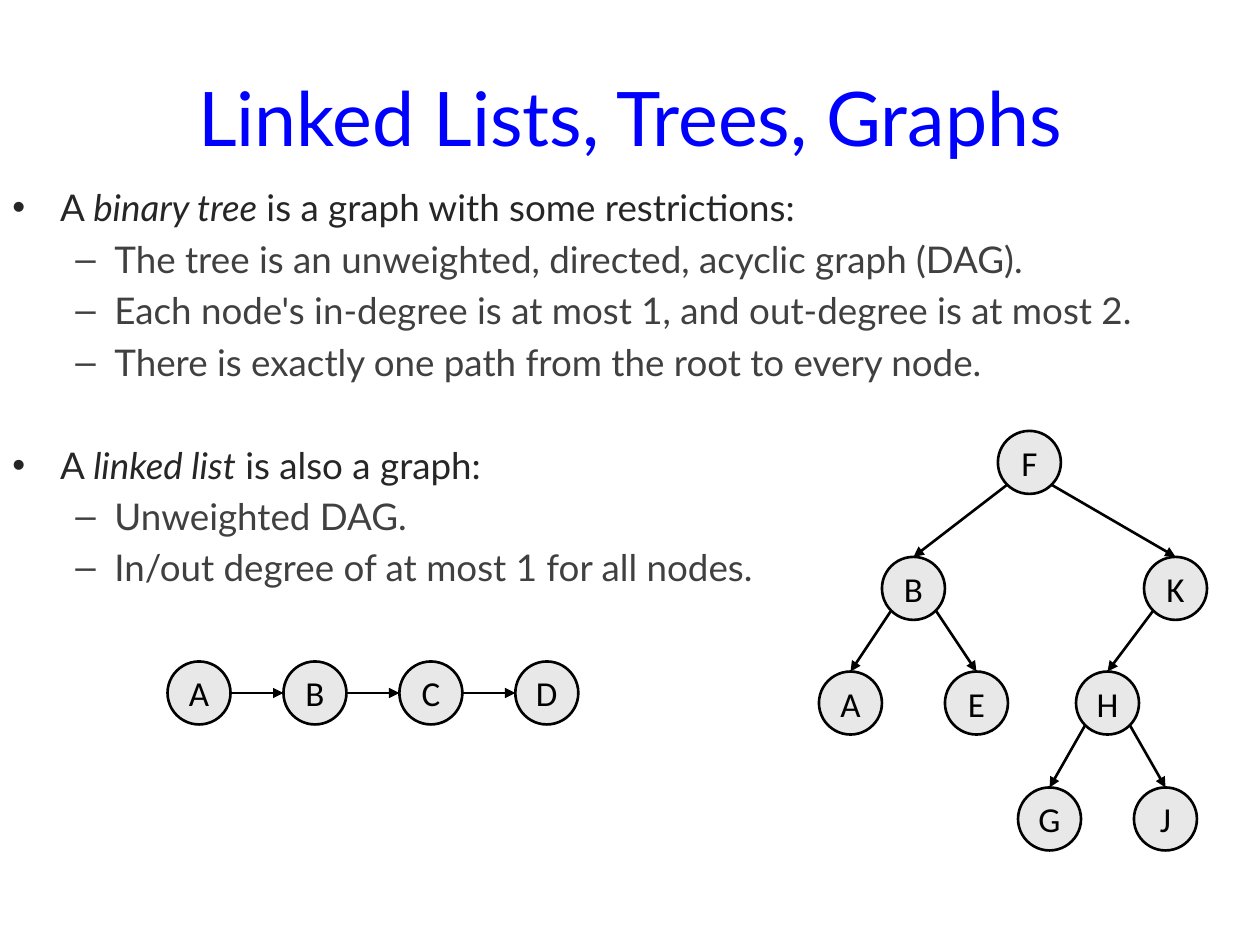
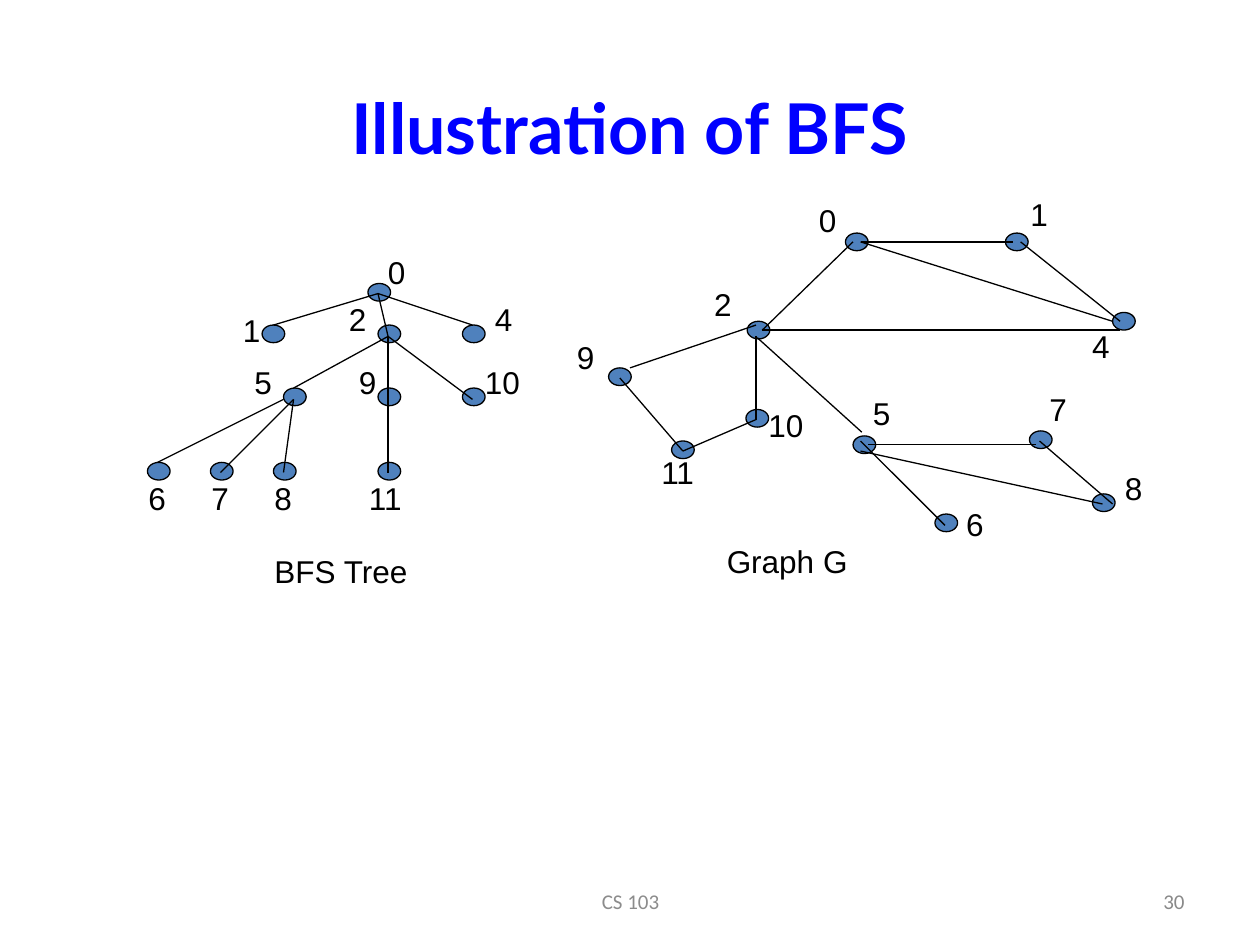
from lxml import etree
from pptx import Presentation
from pptx.dml.color import RGBColor
from pptx.enum import shapes, text
from pptx.oxml.ns import qn
from pptx.util import Inches, Pt

COLORS = {
    "title": "0000FF", "ink": "000000", "topic": "262626", "detail": "404040",
    "node": "E8E8E8", "vertex": "4F81BD", "footer": "8C8C8C", "number": "898989",
}
CENTER, LEFT, RIGHT = text.PP_ALIGN.CENTER, text.PP_ALIGN.LEFT, text.PP_ALIGN.RIGHT
NODE_SIZE = 0.5
VERTEX_WIDTH, VERTEX_HEIGHT = 0.18, 0.14


def rgb(name):
    return RGBColor.from_string(COLORS[name])


def add_run(paragraph, words, size, font, color, bold=None, italic=None):
    run = paragraph.add_run()
    run.text = words
    run.font.size, run.font.name = Pt(size), font
    run.font.bold, run.font.italic = bold, italic
    run.font.color.rgb = rgb(color)


def add_title_slide(prs, title, box, size, bold):
    slide = prs.slides.add_slide(prs.slide_layouts[5])
    heading = slide.shapes.title
    heading.left, heading.top, heading.width, heading.height = map(Inches, box)
    frame = heading.text_frame
    frame.auto_size = text.MSO_AUTO_SIZE.NONE
    frame.vertical_anchor = text.MSO_ANCHOR.MIDDLE
    frame.paragraphs[0].alignment = CENTER
    add_run(frame.paragraphs[0], title, size, "Lato", "title", bold)
    return slide


def add_oval(slide, box, fill, line_width):
    oval = slide.shapes.add_shape(shapes.MSO_SHAPE.OVAL, *map(Inches, box))
    oval.shadow.inherit = False
    oval.fill.solid()
    oval.fill.fore_color.rgb = rgb(fill)
    oval.line.color.rgb = rgb("ink")
    oval.line.width = Pt(line_width)
    return oval


def add_edge(slide, start, end, width, arrow=False):
    edge = slide.shapes.add_connector(
        shapes.MSO_CONNECTOR.STRAIGHT, *map(Inches, (*start, *end)))
    edge.line.color.rgb = rgb("ink")
    edge.line.width = Pt(width)
    if arrow:
        etree.SubElement(edge.line._get_or_add_ln(), qn("a:tailEnd"), type="triangle")
    etree.SubElement(edge._element.spPr, qn("a:effectLst"))
    return edge


def add_label(slide, words, box, size=18, font="Arial", color="ink",
              align=LEFT, anchor=text.MSO_ANCHOR.TOP):
    frame = slide.shapes.add_textbox(*map(Inches, box)).text_frame
    frame.word_wrap = False
    frame.vertical_anchor = anchor
    frame.paragraphs[0].alignment = align
    add_run(frame.paragraphs[0], words, size, font, color)


def add_footer(slide, words, number):
    middle = text.MSO_ANCHOR.MIDDLE
    add_label(slide, words, (3.42, 6.95, 3.17, 0.4), 12, "Calibri", "footer", CENTER, middle)
    add_label(slide, number, (7.17, 6.95, 2.33, 0.4), 12, "Calibri", "number", RIGHT, middle)


def add_bullets(slide, box, topics):
    """Write each topic, whose second part is italic, above its dashed details."""
    frame = slide.shapes.add_textbox(*map(Inches, box)).text_frame
    frame.word_wrap = True

    def add_item(parts, bullet, margin, indent, color, space):
        started = bool(frame.paragraphs[0].runs)
        paragraph = frame.add_paragraph() if started else frame.paragraphs[0]
        props = paragraph._p.get_or_add_pPr()
        props.set("marL", str(Inches(margin)))
        props.set("indent", str(Inches(-indent)))
        if started:
            paragraph.space_before = Pt(space)
        etree.SubElement(props, qn("a:buFont"), typeface="Arial")
        etree.SubElement(props, qn("a:buChar"), char=bullet)
        for position, words in enumerate(parts):
            add_run(paragraph, words, 21, "Lato", color, italic=position == 1)

    for topic, details in topics:
        add_item(topic, "•", 0.38, 0.38, "topic", 33.6)
        for detail in details:
            add_item([detail], "–", 0.81, 0.31, "detail", 4.2)


def add_node(slide, letter, center):
    x, y = center
    node = add_oval(slide, (x - NODE_SIZE / 2, y - NODE_SIZE / 2, NODE_SIZE, NODE_SIZE),
                    "node", 1.5)
    frame = node.text_frame
    frame.word_wrap = False
    frame.vertical_anchor = text.MSO_ANCHOR.MIDDLE
    frame.paragraphs[0].alignment = CENTER
    add_run(frame.paragraphs[0], letter, 20, "Calibri", "ink")
    return node


def add_binary_tree(slide, left, top):
    offsets = {
        "F": (1.67, 0.25), "B": (0.75, 1.25), "K": (2.83, 1.25), "A": (0.25, 2.16),
        "E": (1.25, 2.16), "H": (2.29, 2.16), "G": (1.83, 3.08), "J": (2.75, 3.08),
    }
    centers = {letter: (left + x, top + y) for letter, (x, y) in offsets.items()}
    nodes = {letter: add_node(slide, letter, center) for letter, center in centers.items()}
    diagonal = 0.18  # 45-degree point on a node's rim
    for parent, child in ("FB", "FK", "BA", "BE", "KH", "HG", "HJ"):
        (x, y), (child_x, child_y) = centers[parent], centers[child]
        side = diagonal if child_x > x else -diagonal
        edge = add_edge(slide, (x + side, y + diagonal),
                        (child_x, child_y - NODE_SIZE / 2), 1.5, arrow=True)
        edge.end_connect(nodes[child], 0)


def add_linked_list(slide, left, top, letters, pitch=0.92):
    y = top + NODE_SIZE / 2
    for position, letter in enumerate(letters):
        x = left + NODE_SIZE / 2 + position * pitch
        add_node(slide, letter, (x, y))
        if position:
            add_edge(slide, (x - pitch + NODE_SIZE / 2, y), (x - NODE_SIZE / 2, y),
                     1.5, arrow=True)


def add_vertex_graph(slide, left, top, vertices, edges, caption):
    """Vertices map a label to its dot and label corners; edges are x1, y1, x2, y2."""
    for (x, y), _ in vertices.values():
        add_oval(slide, (left + x, top + y, VERTEX_WIDTH, VERTEX_HEIGHT), "vertex", 0.75)
    for x1, y1, x2, y2 in edges:
        add_edge(slide, (left + x1, top + y1), (left + x2, top + y2), 0.75)
    for label, (_, (x, y)) in vertices.items():
        width = 0.37 if len(label) == 1 else 0.53
        add_label(slide, label, (left + x, top + y, width, 0.5))
    words, x, y, width = caption
    add_label(slide, words, (left + x, top + y, width, 0.5))


def add_bfs_tree(slide, left, top):
    vertices = {
        "0": ((1.92, 1.25), (1.98, 0.96)), "1": ((1.08, 1.58), (0.83, 1.42)),
        "2": ((2, 1.58), (1.67, 1.33)), "4": ((2.67, 1.58), (2.83, 1.33)),
        "5": ((1.25, 2.08), (0.92, 1.83)), "9": ((2, 2.08), (1.75, 1.83)),
        "10": ((2.67, 2.08), (2.75, 1.83)), "6": ((0.17, 2.67), (0.08, 2.75)),
        "7": ((0.67, 2.67), (0.58, 2.75)), "8": ((1.17, 2.67), (1.08, 2.75)),
        "11": ((2, 2.67), (1.83, 2.75)),
    }
    edges = [
        (2, 1.33, 1.17, 1.58), (2, 1.33, 2.08, 1.67), (2, 1.33, 2.75, 1.58),
        (2.08, 1.67, 1.33, 2.08), (2.08, 1.67, 2.08, 2.17), (2.08, 1.67, 2.75, 2.17),
        (1.25, 2.17, 0.25, 2.67), (1.33, 2.17, 0.75, 2.75), (1.33, 2.17, 1.25, 2.75),
        (2.08, 2.17, 2.08, 2.75),
    ]
    add_vertex_graph(slide, left, top, vertices, edges, ("BFS Tree", 1.08, 3.33, 1.49))


def add_source_graph(slide, left, top):
    vertices = {
        "0": ((2.71, 0.85), (2.4, 0.55)), "1": ((3.98, 0.85), (4.08, 0.5)),
        "2": ((1.93, 1.55), (1.57, 1.21)), "4": ((4.83, 1.48), (4.57, 1.55)),
        "5": ((2.77, 2.46), (2.83, 2.08)), "6": ((3.42, 3.08), (3.57, 2.96)),
        "7": ((4.17, 2.42), (4.23, 2.05)), "8": ((4.67, 2.92), (4.83, 2.67)),
        "9": ((0.83, 1.92), (0.48, 1.63)), "10": ((1.92, 2.25), (2, 2.17)),
        "11": ((1.33, 2.5), (1.15, 2.55)),
    }
    edges = [
        (2.83, 0.92, 4.04, 0.92), (2.05, 1.62, 4.89, 1.62), (2.05, 1.62, 2.77, 0.92),
        (4.1, 0.92, 4.89, 1.55), (2.89, 2.53, 4.22, 2.53), (2.83, 0.92, 4.83, 1.55),
        (2.84, 2.43, 2.01, 1.68), (4.25, 2.5, 4.83, 3), (2.83, 2.5, 3.5, 3.17),
        (2.83, 2.58, 4.75, 3), (2, 1.58, 1, 1.92), (2, 1.67, 2, 2.33),
        (0.92, 2, 1.42, 2.58), (2, 2.33, 1.42, 2.58),
    ]
    add_vertex_graph(slide, left, top, vertices, edges, ("Graph G", 1.67, 3.25, 1.36))


def build_structures_slide(prs):
    slide = add_title_slide(prs, "Linked Lists, Trees, Graphs", (0.5, 0.3, 9, 1.25), 43, False)
    add_bullets(slide, (0, 1.42, 10, 6.08), [
        (("A ", "binary tree", " is a graph with some restrictions:"), (
            "The tree is an unweighted, directed, acyclic graph (DAG).",
            "Each node's in-degree is at most 1, and out-degree is at most 2.",
            "There is exactly one path from the root to every node.")),
        (("A ", "linked list", " is also a graph:"), (
            "Unweighted DAG.",
            "In/out degree of at most 1 for all nodes.")),
    ])
    add_binary_tree(slide, 6.5, 3.42)
    add_linked_list(slide, 1.33, 5.25, "ABCD")


def build_bfs_slide(prs):
    slide = add_title_slide(prs, "Illustration of BFS", (0.75, 0.67, 8.5, 0.67), 40, True)
    add_footer(slide, "CS 103", "30")
    add_source_graph(slide, 4, 1)
    add_bfs_tree(slide, 1, 1)


def main():
    prs = Presentation()
    prs.slide_width, prs.slide_height = Inches(10), Inches(7.5)
    build_structures_slide(prs)
    build_bfs_slide(prs)
    prs.save("out.pptx")


if __name__ == "__main__":
    main()
